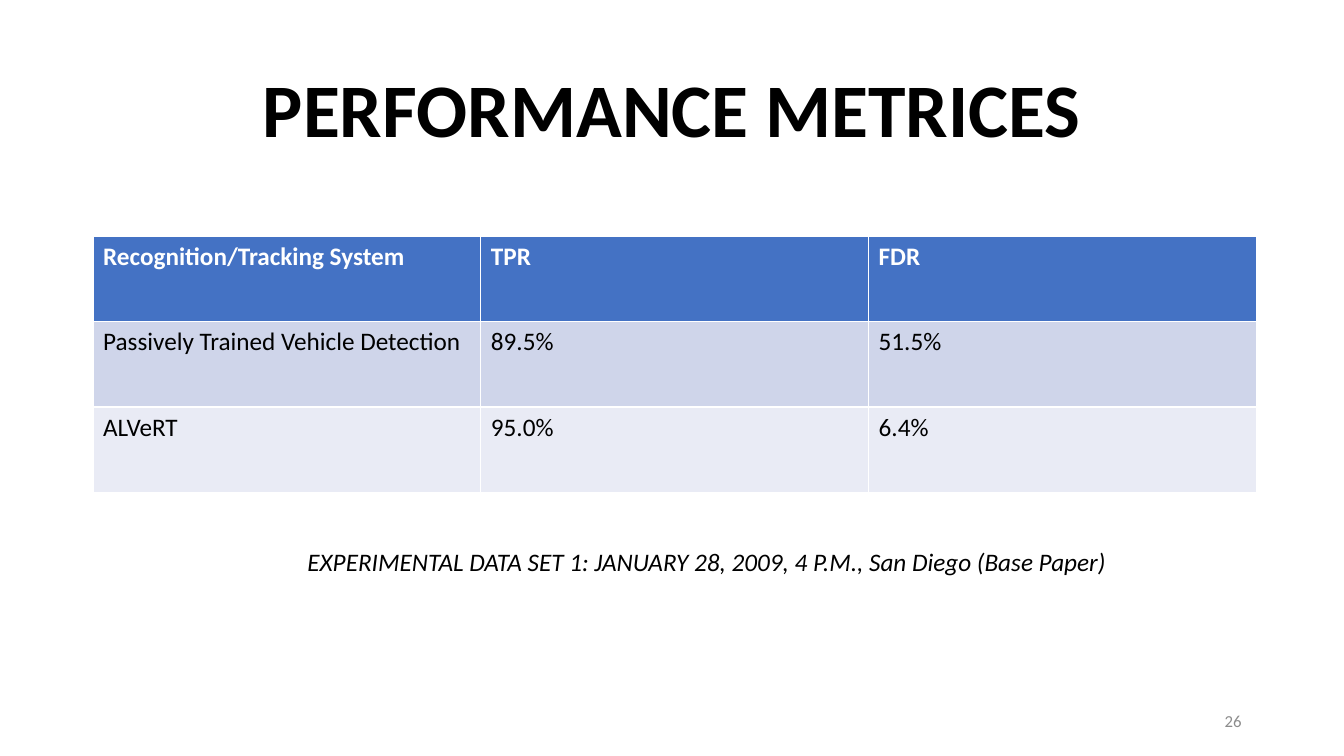
from dataclasses import dataclass

from pptx import Presentation
from pptx.dml.color import RGBColor
from pptx.enum.text import MSO_ANCHOR, MSO_AUTO_SIZE, PP_ALIGN
from pptx.util import Pt

LEFT, CENTER, RIGHT = PP_ALIGN.LEFT, PP_ALIGN.CENTER, PP_ALIGN.RIGHT
TOP, MIDDLE = MSO_ANCHOR.TOP, MSO_ANCHOR.MIDDLE
NO_AUTOFIT = MSO_AUTO_SIZE.NONE


@dataclass(frozen=True)
class Theme:
    font: str = "Calibri"
    black: str = "000000"
    white: str = "FFFFFF"
    gray: str = "8C8C8C"
    row_fills: tuple = ("4472C4", "CFD5EA", "E9EBF5")
    title_size: int = 54
    body_size: int = 18
    number_size: int = 12


THEME = Theme()


def write(frame, text, size=THEME.body_size, color=THEME.black, bold=False,
          italic=False, align=LEFT, line_spacing=1.0):
    para = frame.paragraphs[0]
    para.alignment = align
    para.line_spacing = line_spacing
    span = para.add_run()
    span.text = text
    span.font.name = THEME.font
    span.font.size = Pt(size)
    span.font.bold = bold
    span.font.italic = italic
    span.font.color.rgb = RGBColor.from_string(color)


def add_text_box(page, left, top, width, height, text, anchor=TOP, **text_format):
    box = page.shapes.add_textbox(Pt(left), Pt(top), Pt(width), Pt(height))
    box.text_frame.word_wrap = True
    box.text_frame.vertical_anchor = anchor
    write(box.text_frame, text, **text_format)


deck = Presentation()
deck.slide_width, deck.slide_height = Pt(960), Pt(540)
page = deck.slides.add_slide(deck.slide_layouts[5])

# Title
title = page.shapes.title
title.left, title.top, title.width, title.height = Pt(66), Pt(28.75), Pt(828), Pt(104.4)
title.text_frame.auto_size = NO_AUTOFIT
title.text_frame.vertical_anchor = MIDDLE
write(title.text_frame, "PERFORMANCE METRICES", size=THEME.title_size, bold=True,
      align=CENTER, line_spacing=0.9)

# Detection rates
rates = [
    ("Recognition/Tracking System", "TPR", "FDR"),
    ("Passively Trained Vehicle Detection", "89.5%", "51.5%"),
    ("ALVeRT", "95.0%", "6.4%"),
]
COLUMN_WIDTH, ROW_HEIGHT = 277, 61
table = page.shapes.add_table(
    len(rates), len(rates[0]), Pt(66.5), Pt(168.75),
    Pt(COLUMN_WIDTH * len(rates[0])), Pt(ROW_HEIGHT * len(rates))).table
for row, (values, fill) in enumerate(zip(rates, THEME.row_fills)):
    is_header = row == 0
    for column, value in enumerate(values):
        cell = table.cell(row, column)
        cell.fill.solid()
        cell.fill.fore_color.rgb = RGBColor.from_string(fill)
        write(cell.text_frame, value, bold=is_header,
              color=THEME.white if is_header else THEME.black)

# Caption and slide number
add_text_box(page, 212.5, 386.75, 620.5, 29,
             "EXPERIMENTAL DATA SET 1: JANUARY 28, 2009, 4 P.M., San Diego (Base Paper)",
             italic=True)
add_text_box(page, 678, 500.5, 216, 28.75, "26", anchor=MIDDLE,
             size=THEME.number_size, color=THEME.gray, align=RIGHT)

deck.save("out.pptx")
